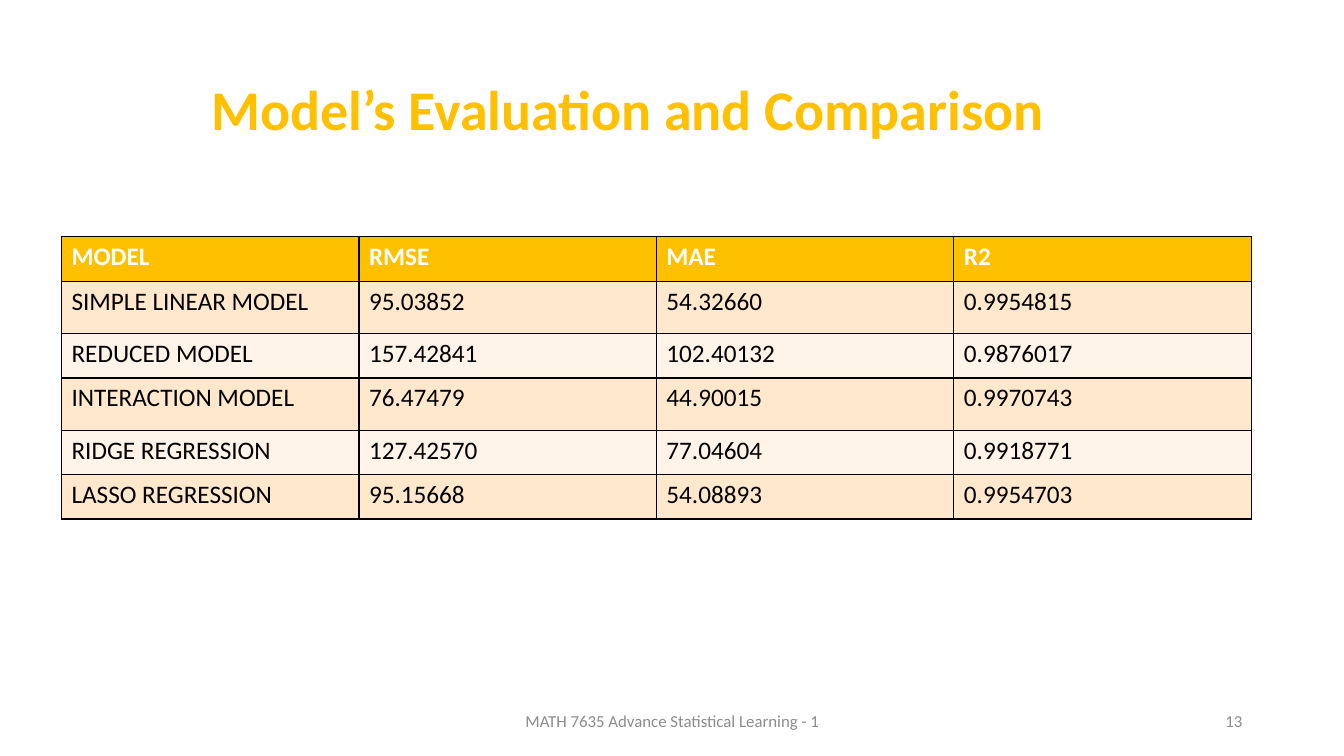
"""Build the model evaluation and comparison slide."""
from dataclasses import dataclass

from lxml import etree
from pptx import Presentation
from pptx.dml.color import RGBColor
from pptx.enum.text import MSO_ANCHOR, MSO_AUTO_SIZE, PP_ALIGN
from pptx.oxml.ns import qn
from pptx.util import Pt

LEFT, CENTER, RIGHT = PP_ALIGN.LEFT, PP_ALIGN.CENTER, PP_ALIGN.RIGHT
TOP, MIDDLE = MSO_ANCHOR.TOP, MSO_ANCHOR.MIDDLE
NO_FIT, GROW = MSO_AUTO_SIZE.NONE, MSO_AUTO_SIZE.SHAPE_TO_FIT_TEXT
TITLE_ONLY = 5
EMU_PER_PX = 9144

ROWS = [
    ("MODEL", "RMSE", "MAE", "R2"),
    ("SIMPLE LINEAR MODEL", "95.03852", "54.32660", "0.9954815"),
    ("REDUCED MODEL", "157.42841", "102.40132", "0.9876017"),
    ("INTERACTION MODEL", "76.47479", "44.90015", "0.9970743"),
    ("RIDGE REGRESSION", "127.42570", "77.04604", "0.9918771"),
    ("LASSO REGRESSION", "95.15668", "54.08893", "0.9954703"),
]
ROW_HEIGHTS = [44, 52, 44, 52, 44, 44]


@dataclass(frozen=True)
class Theme:
    """Colours, font and type sizes."""
    font: str = "Calibri"
    accent: str = "FFC000"
    bands: tuple = ("FFF4E7", "FFE8CC")
    border: str = "000000"
    body: str = "000000"
    on_accent: str = "FFFFFF"
    muted: str = "8C8C8C"
    title_size: int = 40
    table_size: int = 18
    footer_size: int = 12
    border_width: int = 1


def px(n):
    """Turn px into EMU."""
    return n * EMU_PER_PX


def set_all(obj, values):
    """Set each named value on an object."""
    for name, value in values.items():
        setattr(obj, name, value)


class Deck:
    """Style and current slide, with a method per kind of element."""

    def __init__(self, theme, width, height):
        """Start a presentation with one title-only slide."""
        self.theme = theme
        self.prs = Presentation()
        set_all(self.prs, {"slide_width": px(width), "slide_height": px(height)})
        self.s = self.prs.slides.add_slide(self.prs.slide_layouts[TITLE_ONLY])

    def text(self, tf, text, size, color, bold=False, align=LEFT):
        """Put one formatted run into a text frame."""
        p = tf.paragraphs[0]
        p.alignment = align
        r = p.add_run()
        r.text = text
        set_all(r.font, {"name": self.theme.font, "size": Pt(size), "bold": bold})
        r.font.color.rgb = RGBColor.from_string(color)

    def title(self, text, left, top, width, height):
        """Place and fill the title placeholder."""
        sp = self.s.shapes.title
        set_all(sp, {"left": px(left), "top": px(top),
                     "width": px(width), "height": px(height)})
        set_all(sp.text_frame, {"word_wrap": True, "vertical_anchor": TOP,
                                "auto_size": GROW})
        self.text(sp.text_frame, text, self.theme.title_size, self.theme.accent, True)

    def footer(self, text, left, top, width, height, align):
        """Add a small muted text box."""
        sp = self.s.shapes.add_textbox(px(left), px(top), px(width), px(height))
        set_all(sp.text_frame, {"word_wrap": True, "vertical_anchor": MIDDLE,
                                "auto_size": NO_FIT})
        self.text(sp.text_frame, text, self.theme.footer_size, self.theme.muted,
                  align=align)

    def borders(self, cell):
        """Draw a line on all four sides of a cell."""
        tc_pr = cell._tc.get_or_add_tcPr()
        for side in ("a:lnL", "a:lnR", "a:lnT", "a:lnB"):
            ln = etree.SubElement(tc_pr, qn(side), w=str(Pt(self.theme.border_width)))
            fill = etree.SubElement(ln, qn("a:solidFill"))
            etree.SubElement(fill, qn("a:srgbClr"), val=self.theme.border)

    def table(self, rows, heights, left, top, col_width):
        """Add a bordered table with a header row and banded body."""
        t = self.theme
        cols = len(rows[0])
        table = self.s.shapes.add_table(len(rows), cols, px(left), px(top),
                                        px(col_width * cols), px(sum(heights))).table
        for col in table.columns:
            col.width = px(col_width)
        for i, (values, height) in enumerate(zip(rows, heights)):
            table.rows[i].height = px(height)
            header = i == 0
            fill = t.accent if header else t.bands[i % 2]
            color = t.on_accent if header else t.body
            for j, value in enumerate(values):
                cell = table.cell(i, j)
                self.borders(cell)
                cell.fill.solid()
                cell.fill.fore_color.rgb = RGBColor.from_string(fill)
                self.text(cell.text_frame, value, t.table_size, color, header)


def main():
    """Build and save the slide."""
    deck = Deck(Theme(), 1333, 750)
    deck.title("Model’s Evaluation and Comparison", 200, 69, 943, 77)
    deck.table(ROWS, ROW_HEIGHTS, 61, 235, 295)
    deck.footer("MATH 7635 Advance Statistical Learning - 1", 442, 695, 450, 40, CENTER)
    deck.footer("13", 942, 695, 300, 40, RIGHT)
    deck.prs.save("out.pptx")


if __name__ == "__main__":
    main()
